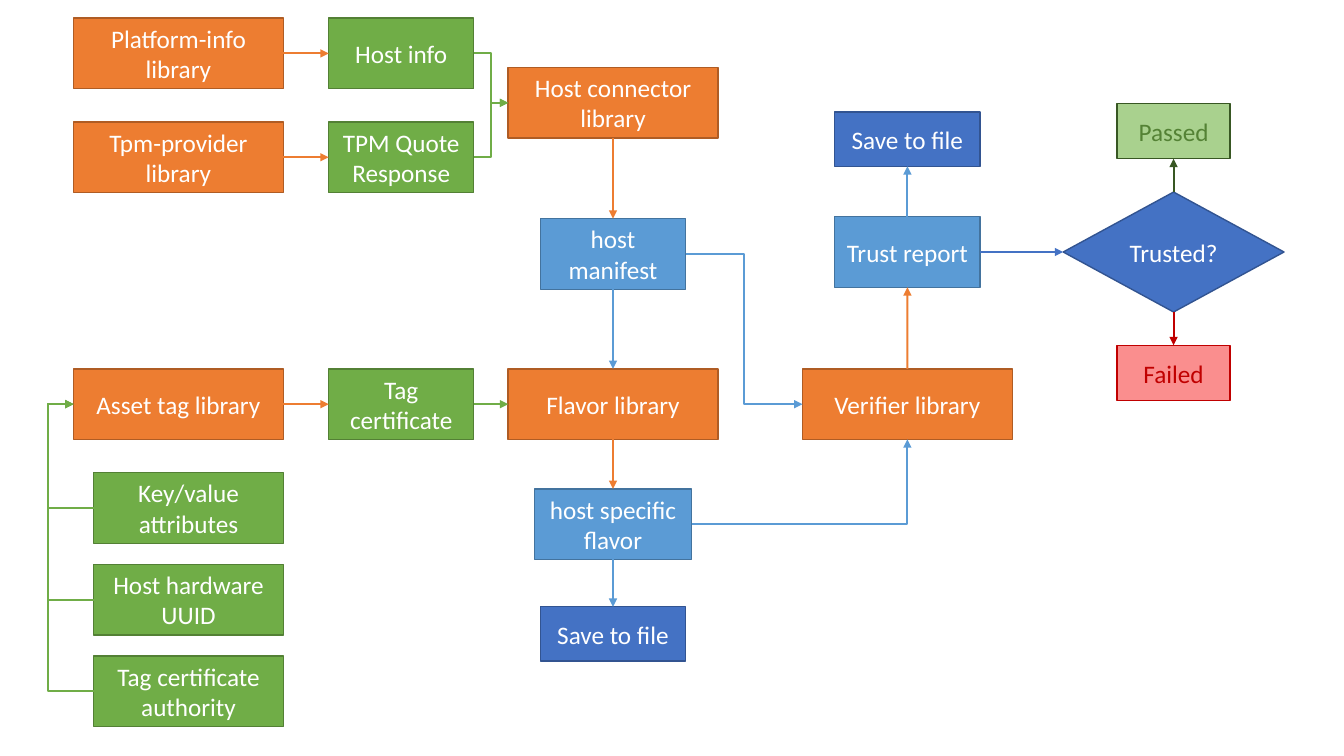
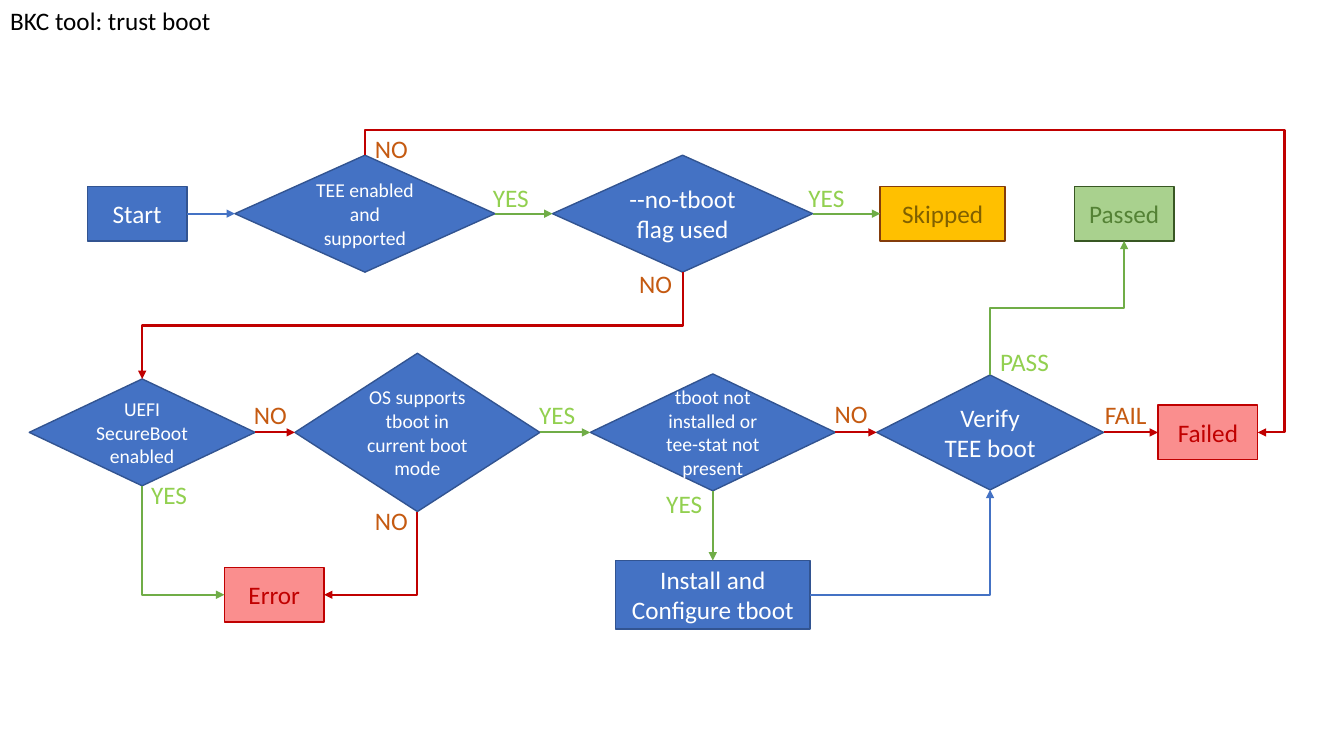
from dataclasses import dataclass
from enum import IntEnum

from lxml import etree
from pptx import Presentation
from pptx.dml.color import RGBColor
from pptx.enum.shapes import MSO_CONNECTOR as Link, MSO_SHAPE as Preset
from pptx.enum.text import MSO_ANCHOR as Anchor, MSO_AUTO_SIZE as AutoSize, PP_ALIGN as Align
from pptx.oxml.ns import qn
from pptx.util import Inches, Pt


class Side(IntEnum):
    """Connection sites of a rectangle or diamond."""
    TOP = 0
    LEFT = 1
    BOTTOM = 2
    RIGHT = 3

    @property
    def vertical(self):
        return self in (Side.TOP, Side.BOTTOM)


TOP, LEFT, BOTTOM, RIGHT = Side


@dataclass(frozen=True)
class Role:
    fill: str
    line: str
    text: str = "FFFFFF"


class Theme:
    font = "Calibri"
    body, small = 18, 14
    outline, arrow = 1, 1.5
    black = "000000"
    orange, green, sky, blue = "ED7D31", "70AD47", "5B9BD5", "4472C4"
    red, forest = "C00000", "385723"
    yes, no = "92D050", "C55A11"
    library = Role(orange, "AF5C24")
    product = Role(green, "538035")
    record = Role(sky, "43739E")
    step = Role(blue, "325491")
    passed = Role("A9D18E", forest, "548235")
    failed = Role("FA8E8E", red, red)
    skipped = Role("FFC000", "843C0B", "806000")


LIBRARY, PRODUCT, INPUT = (2.08, 0.7), (1.44, 0.7), (1.88, 0.7)
SAVE, VERDICT, STATE = (1.44, 0.54), (1.12, 0.55), (0.99, 0.54)


def write(frame, text, color, size=Theme.body, align=Align.LEFT):
    frame.word_wrap = True
    para = frame.paragraphs[0]
    para.alignment = align
    span = para.add_run()
    span.text = text
    span.font.name = Theme.font
    span.font.size = Pt(size)
    span.font.color.rgb = RGBColor.from_string(color)


def add_box(page, text, role, center, size, preset=Preset.RECTANGLE, text_size=Theme.body):
    (x, y), (width, height) = center, size
    box = page.shapes.add_shape(preset, Inches(x - width / 2), Inches(y - height / 2),
                                Inches(width), Inches(height))
    box.shadow.inherit = False
    box.fill.solid()
    box.fill.fore_color.rgb = RGBColor.from_string(role.fill)
    box.line.color.rgb = RGBColor.from_string(role.line)
    box.line.width = Pt(Theme.outline)
    box.text_frame.vertical_anchor = Anchor.MIDDLE
    write(box.text_frame, text, role.text, text_size, Align.CENTER)
    return box


def add_decision(page, text, center, size, text_size=Theme.body):
    return add_box(page, text, Theme.step, center, size, Preset.DIAMOND, text_size)


def add_label(page, text, color, left, top):
    label = page.shapes.add_textbox(Inches(left), Inches(top), Inches(0.76), Inches(0.4))
    write(label.text_frame, text, color)


def add_title(page, text):
    title = page.shapes.title
    title.left, title.top, title.width, title.height = 0, 0, Inches(5.03), Inches(0.4)
    title.text_frame.auto_size = AutoSize.NONE
    title.text_frame.vertical_anchor = Anchor.TOP
    write(title.text_frame, text, Theme.black)


def site(box, side):
    x = box.left + {LEFT: 0, RIGHT: box.width}.get(side, box.width // 2)
    y = box.top + {TOP: 0, BOTTOM: box.height}.get(side, box.height // 2)
    return x, y


def bend(connector, start, end, start_side, end_side, turns):
    """Shape an elbow; turns are its bend positions as fractions of its extent."""
    bends = 3 if start_side.vertical == end_side.vertical else 4 if turns else 2
    geometry = connector._element.spPr.find(qn("a:prstGeom"))
    geometry.set("prst", f"bentConnector{bends}")
    guides = geometry.find(qn("a:avLst"))
    for number, turn in enumerate(turns, 1):
        etree.SubElement(guides, qn("a:gd"), name=f"adj{number}",
                         fmla=f"val {round(turn * 100000)}")
    if start_side.vertical:
        # The preset leaves sideways, so a quarter turn makes it leave up or down.
        (x1, y1), (x2, y2) = start, end
        width, height = abs(y2 - y1), abs(x2 - x1)
        connector.left, connector.top = (x1 + x2 - width) // 2, (y1 + y2 - height) // 2
        connector.width, connector.height = width, height
        frame = connector._element.spPr.find(qn("a:xfrm"))
        frame.set("rot", str(90 * 60000))
        frame.set("flipH", str(int(y2 < y1)))
        frame.set("flipV", str(int(x2 > x1)))


def connect(page, source, start_side, target, end_side, color, turns=()):
    """Arrow between two boxes: straight where the sites line up, else an elbow."""
    start, end = site(source, start_side), site(target, end_side)
    across = 0 if start_side.vertical else 1
    straight = (start_side.vertical == end_side.vertical
                and abs(start[across] - end[across]) < Inches(0.05))
    kind = Link.STRAIGHT if straight else Link.ELBOW
    connector = page.shapes.add_connector(kind, *start, *end)
    connector.begin_connect(source, int(start_side))
    connector.end_connect(target, int(end_side))
    if not straight:
        bend(connector, start, end, start_side, end_side, turns)
    connector.line.color.rgb = RGBColor.from_string(color)
    connector.line.width = Pt(Theme.arrow)
    etree.SubElement(connector.line._get_or_add_ln(), qn("a:tailEnd"), type="triangle")
    etree.SubElement(connector._element.spPr, qn("a:effectLst"))


def build_attestation(page):
    source_x, product_x, flow_x, verify_x, verdict_x = 1.77, 3.98, 6.08, 9, 11.64
    info_y, tpm_y, report_y, main_y = 0.53, 1.56, 2.5, 4.01

    def box(text, role, x, y, size):
        return add_box(page, text, role, (x, y), size)

    platform = box("Platform-info library", Theme.library, source_x, info_y, LIBRARY)
    tpm = box("Tpm-provider library", Theme.library, source_x, tpm_y, LIBRARY)
    asset = box("Asset tag library", Theme.library, source_x, main_y, LIBRARY)
    info = box("Host info", Theme.product, product_x, info_y, PRODUCT)
    quote = box("TPM Quote Response", Theme.product, product_x, tpm_y, PRODUCT)
    certificate = box("Tag certificate", Theme.product, product_x, main_y, PRODUCT)
    host = box("Host connector library", Theme.library, flow_x, 1.02, LIBRARY)
    manifest = box("host manifest", Theme.record, flow_x, 2.52, PRODUCT)
    flavor = box("Flavor library", Theme.library, flow_x, main_y, LIBRARY)
    specific = box("host specific flavor", Theme.record, flow_x, 5.2, (1.56, 0.7))
    flavor_file = box("Save to file", Theme.step, flow_x, 6.29, SAVE)
    verifier = box("Verifier library", Theme.library, verify_x, main_y, LIBRARY)
    report = box("Trust report", Theme.record, verify_x, report_y, PRODUCT)
    report_file = box("Save to file", Theme.step, verify_x, 1.38, SAVE)
    trusted = add_decision(page, "Trusted?", (verdict_x, report_y), (2.19, 1.19))
    passed = box("Passed", Theme.passed, verdict_x, report_y - 1.2, VERDICT)
    failed = box("Failed", Theme.failed, verdict_x, report_y + 1.2, VERDICT)

    inputs = ("Key/value attributes", "Host hardware UUID", "Tag certificate authority")
    for row, text in enumerate(inputs):
        item = box(text, Theme.product, 1.87, 5.04 + 0.91 * row, INPUT)
        connect(page, item, LEFT, asset, LEFT, Theme.green, (2.25,))

    for link in (
        (platform, RIGHT, info, LEFT, Theme.orange),
        (tpm, RIGHT, quote, LEFT, Theme.orange),
        (asset, RIGHT, certificate, LEFT, Theme.orange),
        (info, RIGHT, host, LEFT, Theme.green),
        (quote, RIGHT, host, LEFT, Theme.green),
        (certificate, RIGHT, flavor, LEFT, Theme.green),
        (host, BOTTOM, manifest, TOP, Theme.orange),
        (manifest, BOTTOM, flavor, TOP, Theme.sky),
        (manifest, RIGHT, verifier, LEFT, Theme.sky),
        (flavor, BOTTOM, specific, TOP, Theme.orange),
        (specific, BOTTOM, flavor_file, TOP, Theme.sky),
        (specific, RIGHT, verifier, BOTTOM, Theme.sky),
        (verifier, TOP, report, BOTTOM, Theme.orange),
        (report, TOP, report_file, BOTTOM, Theme.sky),
        (report, RIGHT, trusted, LEFT, Theme.blue),
        (trusted, TOP, passed, BOTTOM, Theme.forest),
        (trusted, BOTTOM, failed, TOP, Theme.red),
    ):
        connect(page, *link)


def build_trust_boot(page):
    top_y, main_y, low_y = 2.12, 4.29, 5.9
    add_title(page, "BKC tool: trust boot")

    start = add_box(page, "Start", Theme.step, (1.36, top_y), STATE)
    tee = add_decision(page, "TEE enabled and supported", (3.62, top_y), (2.58, 1.16), Theme.small)
    flag = add_decision(page, "--no-tboot flag used", (6.77, top_y), (2.58, 1.16))
    skipped = add_box(page, "Skipped", Theme.skipped, (9.35, top_y), (1.24, 0.54))
    passed = add_box(page, "Passed", Theme.passed, (11.15, top_y), STATE)
    uefi = add_decision(page, "UEFI SecureBoot enabled", (1.41, main_y), (2.24, 1.06), Theme.small)
    system = add_decision(page, "OS supports tboot in current boot mode",
                          (4.14, main_y), (2.43, 1.57), Theme.small)
    tboot = add_decision(page, "tboot not installed or tee-stat not present",
                         (7.07, main_y), (2.43, 1.16), Theme.small)
    verify = add_decision(page, "Verify TEE boot", (9.82, main_y), (2.25, 1.14))
    failed = add_box(page, "Failed", Theme.failed, (11.98, main_y), STATE)
    error = add_box(page, "Error", Theme.failed, (2.72, low_y), STATE)
    install = add_box(page, "Install and Configure tboot", Theme.step, (7.07, low_y), (1.93, 0.68))

    for link in (
        (start, RIGHT, tee, LEFT, Theme.blue),
        (tee, RIGHT, flag, LEFT, Theme.green),
        (tee, TOP, failed, RIGHT, Theme.red, (-0.09, 1.03)),
        (flag, RIGHT, skipped, LEFT, Theme.green),
        (flag, BOTTOM, uefi, TOP, Theme.red),
        (uefi, RIGHT, system, LEFT, Theme.red),
        (uefi, BOTTOM, error, LEFT, Theme.green),
        (system, BOTTOM, error, RIGHT, Theme.red),
        (system, RIGHT, tboot, LEFT, Theme.green),
        (tboot, RIGHT, verify, LEFT, Theme.red),
        (tboot, BOTTOM, install, TOP, Theme.green),
        (install, RIGHT, verify, BOTTOM, Theme.blue),
        (verify, TOP, passed, BOTTOM, Theme.green),
        (verify, RIGHT, failed, LEFT, Theme.red),
    ):
        connect(page, *link)

    labels = {
        ("YES", Theme.yes): ((4.79, 1.76), (7.92, 1.76), (5.25, 3.91), (6.51, 4.8), (1.4, 4.71)),
        ("NO", Theme.no): ((3.62, 1.27), (6.24, 2.61), (2.42, 3.91), (8.18, 3.9), (3.62, 4.96)),
        ("PASS", Theme.yes): ((9.82, 3.39),),
        ("FAIL", Theme.no): ((10.86, 3.91),),
    }
    for (text, color), places in labels.items():
        for left, top in places:
            add_label(page, text, color, left, top)


def main():
    deck = Presentation()
    deck.slide_width, deck.slide_height = Inches(13.33), Inches(7.5)
    title_only, blank = deck.slide_layouts[5], deck.slide_layouts[6]
    build_attestation(deck.slides.add_slide(blank))
    build_trust_boot(deck.slides.add_slide(title_only))
    deck.save("out.pptx")


if __name__ == "__main__":
    main()
